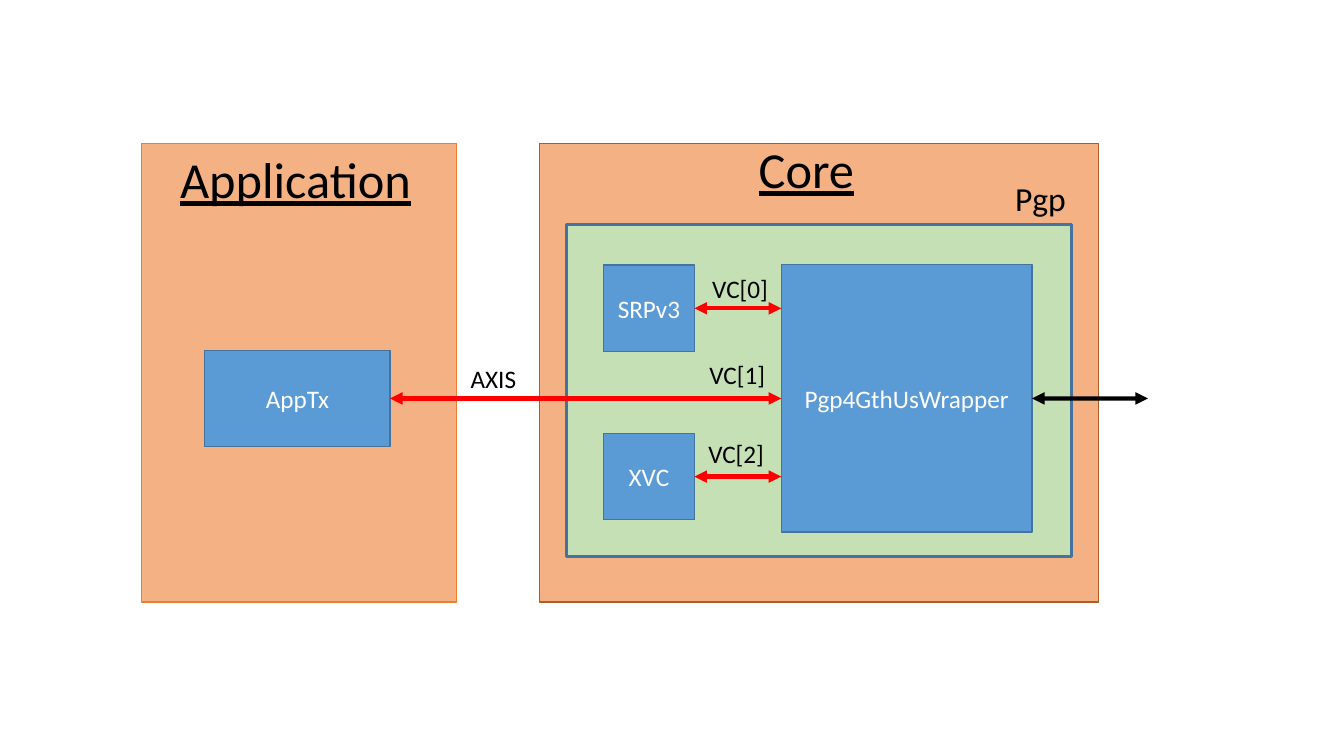
"""Draw the block diagram of the Application and Core firmware modules."""
from dataclasses import dataclass

from lxml.etree import SubElement
from pptx import Presentation
from pptx.dml.color import RGBColor
from pptx.enum.shapes import MSO_CONNECTOR, MSO_SHAPE
from pptx.enum.text import MSO_ANCHOR, PP_ALIGN
from pptx.oxml.ns import qn
from pptx.shapes.autoshape import Shape
from pptx.shapes.connector import Connector
from pptx.slide import Slide
from pptx.text.text import TextFrame
from pptx.util import Cm, Pt

FONT = "Calibri"
COLORS = {
    "panel": "F4B183",
    "core_line": "AF5C24",
    "app_line": "ED7D31",
    "pgp": "C5E0B4",
    "block": "5B9BD5",
    "block_line": "43739E",
    "link": "FF0000",
    "black": "000000",
    "white": "FFFFFF",
}
RIGHT_SITE, LEFT_SITE = 3, 1


@dataclass(frozen=True)
class Box:
    left: float
    top: float
    width: float
    height: float
    fill: str = "block"
    line: str = "block_line"
    weight: float = 1
    text: str = ""

    @property
    def right(self) -> float:
        return self.left + self.width

    @property
    def middle(self) -> float:
        return self.top + self.height / 2


@dataclass(frozen=True)
class Label:
    text: str
    left: float
    top: float
    width: float
    height: float = 1.02
    size: float = 18
    underline: bool = False
    align: PP_ALIGN = PP_ALIGN.LEFT


def rgb(name: str) -> RGBColor:
    return RGBColor.from_string(COLORS[name])


def write(tf: TextFrame, text: str, *, size: float = 18, color: str = "black",
          underline: bool = False, align: PP_ALIGN = PP_ALIGN.LEFT) -> None:
    p = tf.paragraphs[0]
    p.alignment = align
    r = p.add_run()
    r.text = text
    r.font.name = FONT
    r.font.size = Pt(size)
    r.font.underline = underline
    r.font.color.rgb = rgb(color)


def add_box(s: Slide, box: Box) -> Shape:
    sp = s.shapes.add_shape(MSO_SHAPE.RECTANGLE, Cm(box.left), Cm(box.top),
                            Cm(box.width), Cm(box.height))
    sp.shadow.inherit = False
    sp.fill.solid()
    sp.fill.fore_color.rgb = rgb(box.fill)
    sp.line.color.rgb = rgb(box.line)
    sp.line.width = Pt(box.weight)
    if box.text:
        tf = sp.text_frame
        tf.word_wrap = True
        tf.vertical_anchor = MSO_ANCHOR.MIDDLE
        write(tf, box.text, color="white", align=PP_ALIGN.CENTER)
    return sp


def add_label(s: Slide, label: Label) -> None:
    sp = s.shapes.add_textbox(Cm(label.left), Cm(label.top),
                              Cm(label.width), Cm(label.height))
    tf = sp.text_frame
    tf.word_wrap = False
    write(tf, label.text, size=label.size, underline=label.underline,
          align=label.align)


def add_link(s: Slide, start: Box, end_x: float, color: str = "link",
             kind: MSO_CONNECTOR = MSO_CONNECTOR.ELBOW) -> Connector:
    y = Cm(start.middle)
    cx = s.shapes.add_connector(kind, Cm(start.right), y, Cm(end_x), y)
    cx.line.color.rgb = rgb(color)
    cx.line.width = Pt(3)
    ln = cx.line._get_or_add_ln()
    for tag in ("a:headEnd", "a:tailEnd"):
        SubElement(ln, qn(tag), type="triangle")
    SubElement(cx._element.spPr, qn("a:effectLst"))
    return cx


CORE = Box(13.59, 3.61, 14.1, 11.56, "panel", "core_line")
PGP = Box(14.27, 5.66, 12.73, 8.36, "pgp", weight=2.25)
APPLICATION = Box(3.56, 3.61, 7.95, 11.56, "panel", "app_line")
APP_TX = Box(5.16, 8.83, 4.67, 2.42, text="AppTx")
WRAPPER = Box(19.69, 6.67, 6.32, 6.74, text="Pgp4GthUsWrapper")
SRP = Box(15.21, 6.68, 2.29, 2.18, text="SRPv3")
XVC = Box(15.21, 10.92, 2.29, 2.18, text="XVC")

LABELS = [
    Label("Application", 4.29, 3.61, 6.4, 1.8, 36, True),
    Label("Core", 18.87, 3.35, 2.95, 1.8, 36, True),
    Label("Pgp", 25.32, 4.37, 1.8, 1.27, 24, align=PP_ALIGN.CENTER),
    Label("AXIS", 11.61, 9.02, 1.68),
    Label("VC[0]", 17.7, 6.76, 1.93),
    Label("VC[1]", 17.63, 8.94, 1.93),
    Label("VC[2]", 17.6, 10.92, 1.93),
]


def main() -> None:
    prs = Presentation()
    prs.slide_width, prs.slide_height = Cm(33.87), Cm(19.05)
    s = prs.slides.add_slide(prs.slide_layouts[6])
    for panel in (CORE, PGP, APPLICATION):
        add_box(s, panel)
    wrapper = add_box(s, WRAPPER)
    for block in (APP_TX, SRP, XVC):
        sp = add_box(s, block)
        cx = add_link(s, block, WRAPPER.left)
        cx.begin_connect(sp, RIGHT_SITE)
        if block is APP_TX:
            cx.end_connect(wrapper, LEFT_SITE)
    cx = add_link(s, WRAPPER, 28.93, "black", MSO_CONNECTOR.STRAIGHT)
    cx.begin_connect(wrapper, RIGHT_SITE)
    for label in LABELS:
        add_label(s, label)
    prs.save("out.pptx")


main()
